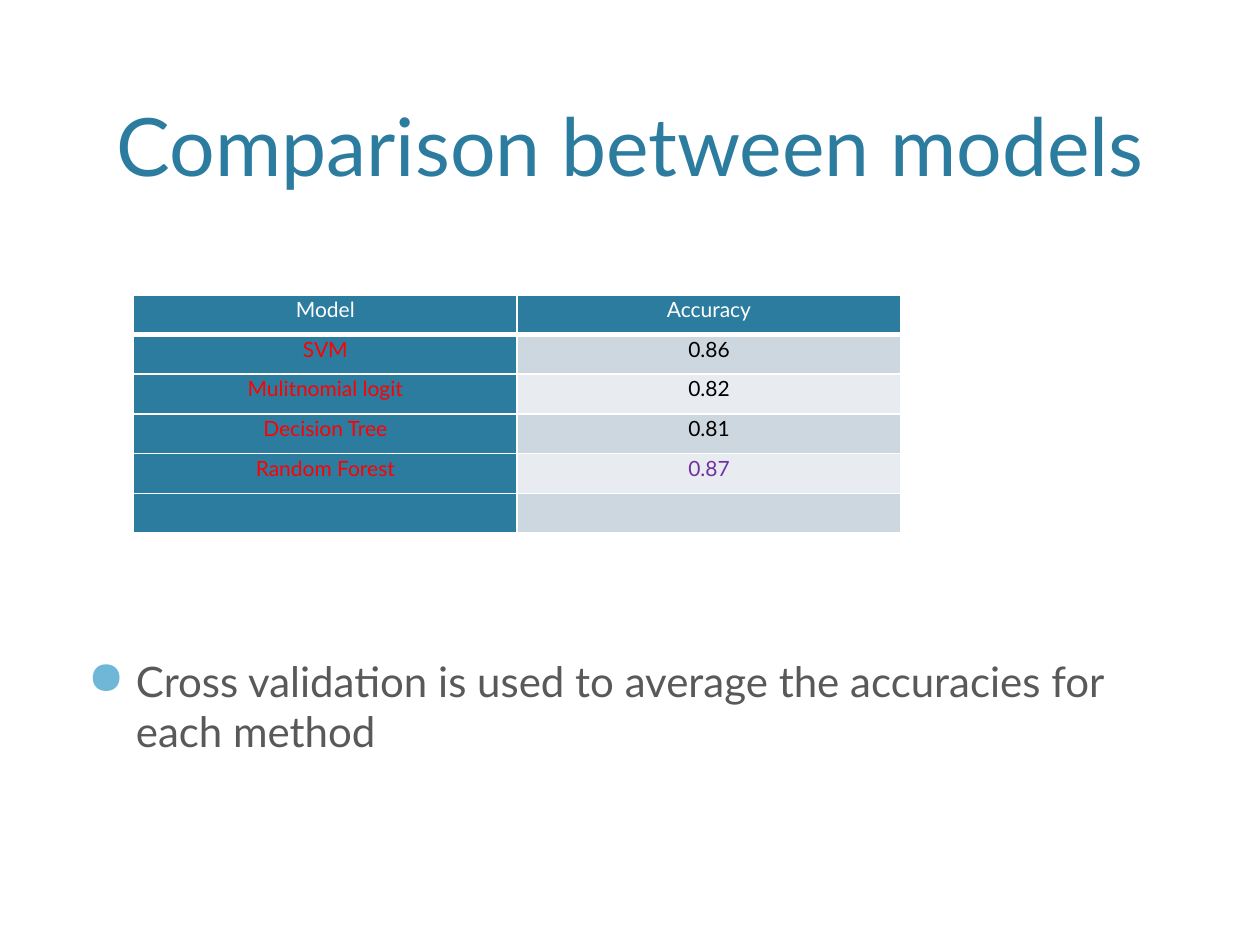
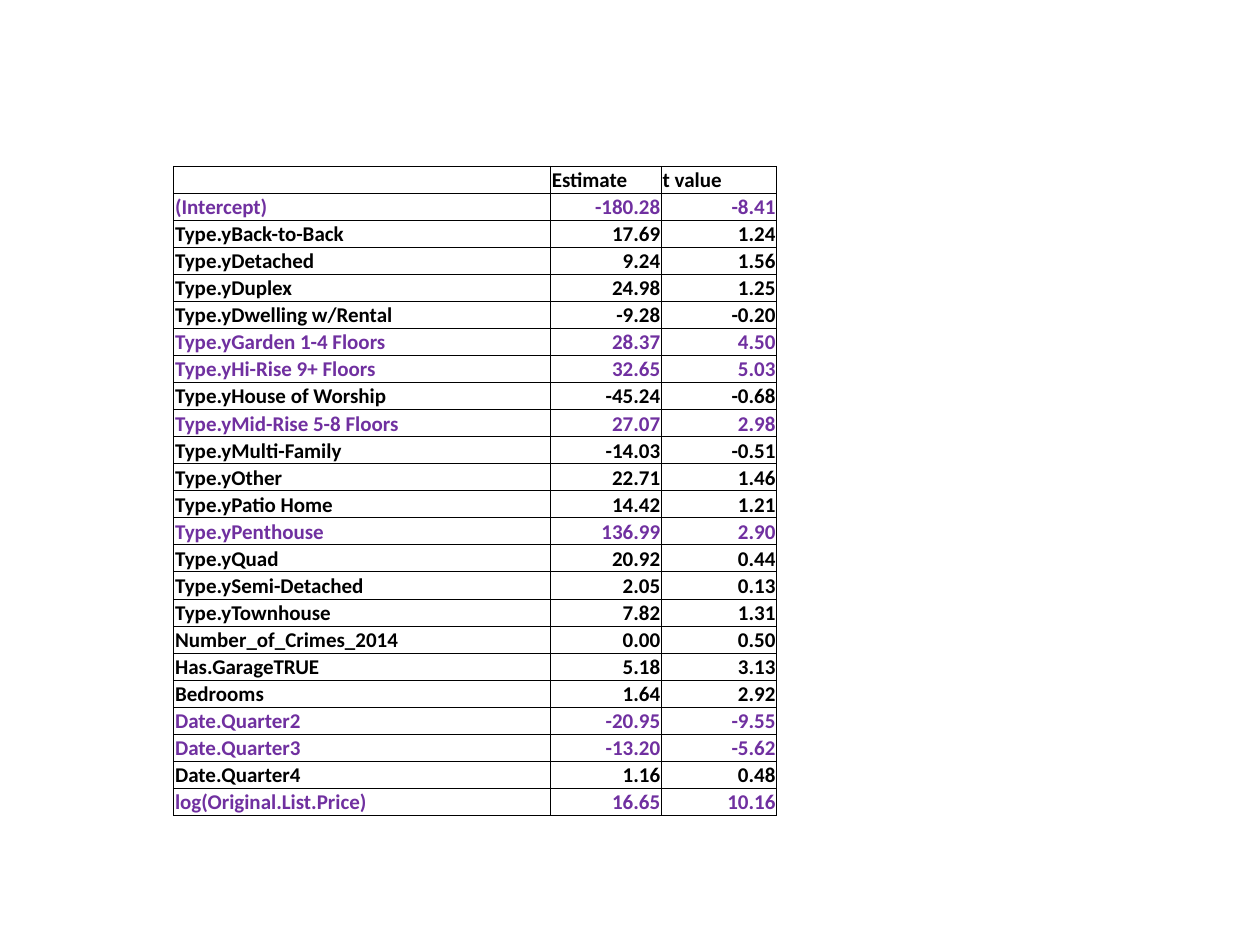
from dataclasses import dataclass
from lxml.etree import SubElement
from pptx import Presentation
from pptx.dml.color import RGBColor
from pptx.enum.text import MSO_ANCHOR as Anchor, PP_ALIGN as Align
from pptx.oxml.ns import qn
from pptx.util import Inches, Pt

GRID_COLUMNS, GRID_ROWS = 100, 75
TITLE_ONLY, BLANK = 5, 6


@dataclass(frozen=True)
class Theme:
    heading_font: str = "Lato"
    data_font: str = "Calibri"
    title_size: int = 46
    body_size: int = 24
    table_size: int = 12
    teal: str = "2C7C9F"
    sky: str = "6FB7D7"
    gray: str = "595959"
    white: str = "FFFFFF"
    black: str = "000000"
    red: str = "FF0000"
    purple: str = "7030A0"
    bands: tuple = ("CDD7DF", "E8ECF0")


class Deck:
    def __init__(self, theme):
        self.theme = theme
        self.presentation = Presentation()
        self.presentation.slide_width = Inches(10)
        self.presentation.slide_height = Inches(7.5)
        self.slide = None

    def add_slide(self, layout):
        self.slide = self.presentation.slides.add_slide(
            self.presentation.slide_layouts[layout])
        fill = self.slide.background.fill
        fill.solid()
        fill.fore_color.rgb = RGBColor.from_string(self.theme.white)

    def across(self, columns):
        return round(self.presentation.slide_width * columns / GRID_COLUMNS)

    def down(self, rows):
        return round(self.presentation.slide_height * rows / GRID_ROWS)

    def add_text(self, paragraph, text, font, size, color, bold=False):
        run = paragraph.add_run()
        run.text = text
        run.font.name = font
        run.font.size = Pt(size)
        run.font.bold = bold
        run.font.color.rgb = RGBColor.from_string(color)

    def title(self, text, left, top, width, height):
        shape = self.slide.shapes.title
        shape.left, shape.top = self.across(left), self.down(top)
        shape.width, shape.height = self.across(width), self.down(height)
        frame = shape.text_frame
        frame.word_wrap = True
        frame.vertical_anchor = Anchor.BOTTOM
        paragraph = frame.paragraphs[0]
        paragraph.alignment = Align.CENTER
        self.add_text(paragraph, text, self.theme.heading_font,
                      self.theme.title_size, self.theme.teal)

    def bullet(self, text, left, top, width, height):
        shape = self.slide.shapes.add_textbox(
            self.across(left), self.down(top), self.across(width), self.down(height))
        shape.text_frame.word_wrap = True
        paragraph = shape.text_frame.paragraphs[0]
        self.add_text(paragraph, text, self.theme.heading_font,
                      self.theme.body_size, self.theme.gray)
        indent = self.across(3.8)
        properties = paragraph._p.get_or_add_pPr()
        properties.set("marL", str(indent))
        properties.set("indent", str(-indent))
        color = SubElement(properties, qn("a:buClr"))
        SubElement(color, qn("a:srgbClr"), val=self.theme.sky)
        SubElement(properties, qn("a:buSzPct"), val="110000")
        SubElement(properties, qn("a:buChar"), char="●")

    def table(self, left, top, widths, height, row_count):
        table = self.slide.shapes.add_table(
            row_count, len(widths), self.across(left), self.down(top),
            self.across(sum(widths)), self.down(height)).table
        table.first_row = table.horz_banding = False
        for column, width in zip(table.columns, widths):
            column.width = self.across(width)
        for row in table.rows:
            row.height = self.down(height / row_count)
        return table

    def borders(self, cell, color, width, bottom=None):
        properties = cell._tc.get_or_add_tcPr()
        for side in "LRTB":
            weight = bottom if side == "B" and bottom else width
            line = SubElement(properties, qn(f"a:ln{side}"), w=str(Pt(weight)))
            fill = SubElement(line, qn("a:solidFill"))
            SubElement(fill, qn("a:srgbClr"), val=color)

    def cell(self, cell, text, font, color, align, anchor, margins,
             fill=None, bold=False, spacing=None):
        cell.vertical_anchor = anchor
        (cell.margin_left, cell.margin_top,
         cell.margin_right, cell.margin_bottom) = map(Inches, margins)
        if fill:
            cell.fill.solid()
            cell.fill.fore_color.rgb = RGBColor.from_string(fill)
        else:
            cell.fill.background()
        paragraph = cell.text_frame.paragraphs[0]
        paragraph.alignment = align
        paragraph.line_spacing = spacing
        size = self.theme.table_size
        if text:
            self.add_text(paragraph, text, font, size, color, bold)
        else:
            SubElement(paragraph._p, qn("a:endParaRPr"), sz=str(size * 100))


ACCURACIES = [
    ("Model", "Accuracy"),
    ("SVM", "0.86"),
    ("Mulitnomial logit", "0.82"),
    ("Decision Tree", "0.81"),
    ("Random Forest", "0.87"),
    ("", ""),
]
BEST_MODEL = "Random Forest"

COEFFICIENTS = [
    ("", "Estimate", "t value"),
    ("(Intercept)", "-180.28", "-8.41"),
    ("Type.yBack-to-Back", "17.69", "1.24"),
    ("Type.yDetached", "9.24", "1.56"),
    ("Type.yDuplex", "24.98", "1.25"),
    ("Type.yDwelling w/Rental", "-9.28", "-0.20"),
    ("Type.yGarden 1-4 Floors", "28.37", "4.50"),
    ("Type.yHi-Rise 9+ Floors", "32.65", "5.03"),
    ("Type.yHouse of Worship", "-45.24", "-0.68"),
    ("Type.yMid-Rise 5-8 Floors", "27.07", "2.98"),
    ("Type.yMulti-Family", "-14.03", "-0.51"),
    ("Type.yOther", "22.71", "1.46"),
    ("Type.yPatio Home", "14.42", "1.21"),
    ("Type.yPenthouse", "136.99", "2.90"),
    ("Type.yQuad", "20.92", "0.44"),
    ("Type.ySemi-Detached", "2.05", "0.13"),
    ("Type.yTownhouse", "7.82", "1.31"),
    ("Number_of_Crimes_2014", "0.00", "0.50"),
    ("Has.GarageTRUE", "5.18", "3.13"),
    ("Bedrooms", "1.64", "2.92"),
    ("Date.Quarter2", "-20.95", "-9.55"),
    ("Date.Quarter3", "-13.20", "-5.62"),
    ("Date.Quarter4", "1.16", "0.48"),
    ("log(Original.List.Price)", "16.65", "10.16"),
]
HIGHLIGHTED_TERMS = {
    "(Intercept)", "Type.yGarden 1-4 Floors", "Type.yHi-Rise 9+ Floors",
    "Type.yMid-Rise 5-8 Floors", "Type.yPenthouse", "Date.Quarter2",
    "Date.Quarter3", "log(Original.List.Price)",
}


def model_comparison(deck):
    theme = deck.theme
    deck.add_slide(TITLE_ONLY)
    deck.title("Comparison between models", 6, 1.2, 88, 14.6)
    table = deck.table(10.6, 23.4, [30.45, 30.45], 18.9, len(ACCURACIES))
    for row, values in enumerate(ACCURACIES):
        for column, text in enumerate(values):
            if row == 0:
                color, fill = theme.white, theme.teal
            elif column == 0:
                color, fill = theme.red, theme.teal
            else:
                color = theme.purple if values[0] == BEST_MODEL else theme.black
                fill = theme.bands[(row - 1) % 2]
            cell = table.cell(row, column)
            deck.borders(cell, theme.white, 1, bottom=3 if row == 0 else None)
            deck.cell(cell, text, theme.heading_font, color, Align.CENTER,
                      Anchor.TOP, (0.06, 0, 0.06, 0), fill, spacing=1.07)
    deck.bullet("Cross validation is used to average the accuracies for each method",
                6, 51.5, 88, 9.5)


def regression_coefficients(deck):
    theme = deck.theme
    deck.add_slide(BLANK)
    table = deck.table(13.8, 13.2, [29.9, 8.8, 9.15], 51.5, len(COEFFICIENTS))
    for row, values in enumerate(COEFFICIENTS):
        color = theme.purple if values[0] in HIGHLIGHTED_TERMS else theme.black
        for column, text in enumerate(values):
            cell = table.cell(row, column)
            align = Align.RIGHT if row and column else Align.LEFT
            deck.borders(cell, theme.black, 0.5)
            deck.cell(cell, text, theme.data_font, color, align,
                      Anchor.BOTTOM, (0.01, 0.01, 0.01, 0), bold=True)


def main():
    deck = Deck(Theme())
    model_comparison(deck)
    regression_coefficients(deck)
    deck.presentation.save("out.pptx")


if __name__ == "__main__":
    main()
